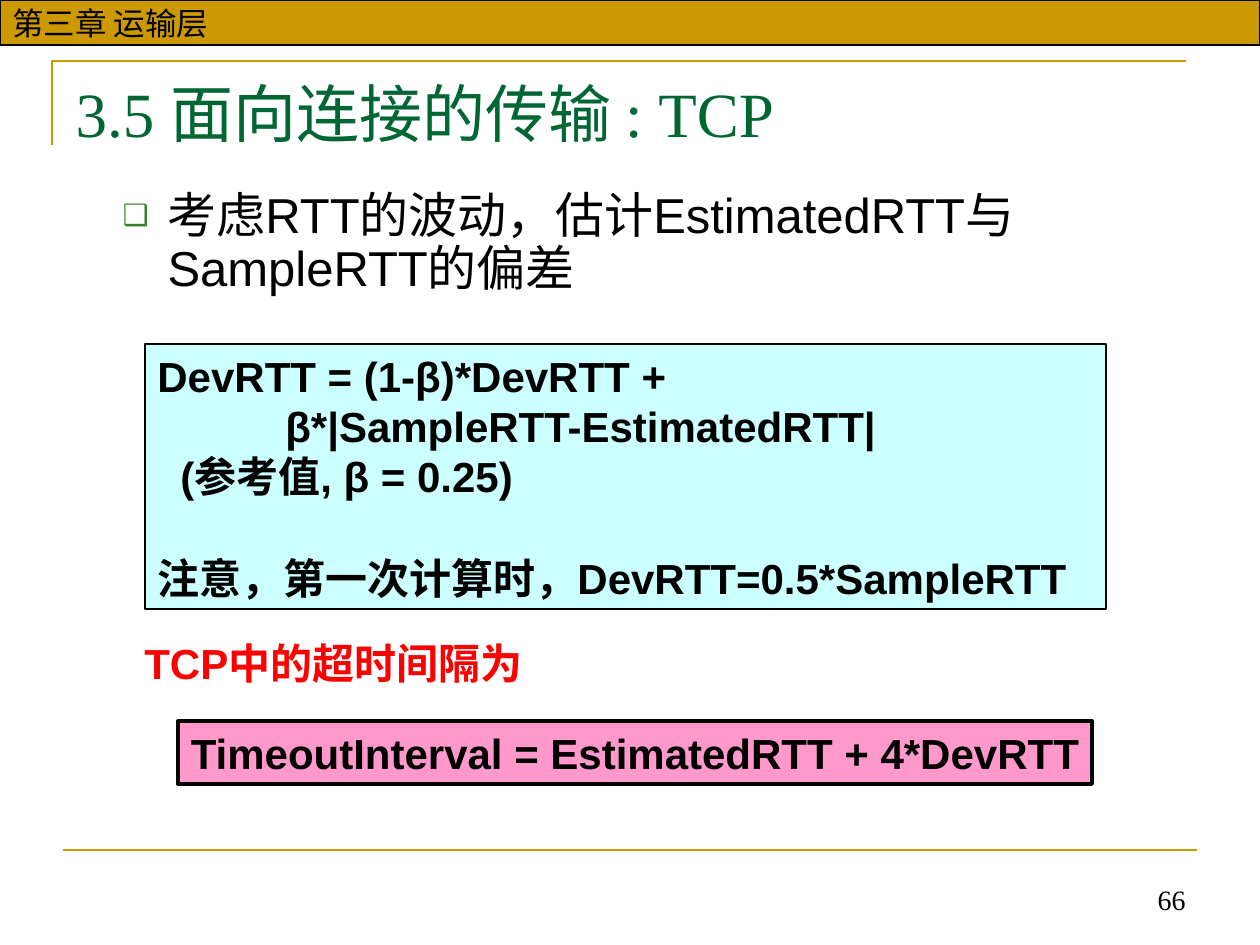
import pptx
import pptx.dml.color
import pptx.enum.shapes
import pptx.enum.text
import pptx.oxml
import pptx.oxml.ns
import pptx.util

PX = 914400 / 126
COLORS = {"gold": "CC9900", "black": "000000", "green": "006633", "bullet": "3B812F",
          "cyan": "CCFFFF", "pink": "FF99CC", "red": "FF0000"}
ALIGN = pptx.enum.text.PP_ALIGN
ANCHOR = pptx.enum.text.MSO_ANCHOR
SHAPE = pptx.enum.shapes.MSO_SHAPE


def rgb(name):
    return pptx.dml.color.RGBColor.from_string(COLORS[name])


def write(s, lines, box, size, color="black", font="Arial", bold=False,
          align=ALIGN.LEFT, anchor=ANCHOR.TOP, wrap=True):
    """Place a shape at box (px) and fill it with one paragraph per line."""
    s.left, s.top, s.width, s.height = [round(v * PX) for v in box]
    tf = s.text_frame
    tf.auto_size = pptx.enum.text.MSO_AUTO_SIZE.NONE
    tf.word_wrap = wrap
    tf.vertical_anchor = anchor
    for i, line in enumerate(lines):
        p = tf.paragraphs[0] if i == 0 else tf.add_paragraph()
        p.alignment = align
        r = p.add_run()
        r.text = line
        for name, value in {"size": pptx.util.Pt(size), "name": font, "bold": bold}.items():
            setattr(r.font, name, value)
        r.font.color.rgb = rgb(color)
    return tf


prs = pptx.Presentation()
prs.slide_width, prs.slide_height = round(1260 * PX), round(945 * PX)
slide = prs.slides.add_slide(prs.slide_layouts[1])
shapes = slide.shapes
title, body = slide.placeholders

# Corner rule above the title and line above the footer
builder = shapes.build_freeform(52, 145, scale=PX)
builder.add_line_segments([(52, 61), (1186, 61)], close=False)
corner = builder.convert_to_shape()
corner.fill.background()
corner.shadow.inherit = False
rule = shapes.add_connector(pptx.enum.shapes.MSO_CONNECTOR.STRAIGHT,
                            *[round(v * PX) for v in (63, 850, 1197, 850)])
rule._element.spPr.append(pptx.oxml.parse_xml(
    f'<a:effectLst {pptx.oxml.ns.nsdecls("a")}/>'))
for s in (corner, rule):
    s.line.color.rgb = rgb("gold")
    s.line.width = pptx.util.Pt(1.5)

# Title and list
write(title, ["3.5 面向连接的传输 : TCP"], (63, 68, 1134, 97), 36, "green", "Times New Roman")
tf = write(body, ["考虑RTT的波动，估计EstimatedRTT与SampleRTT的偏差"], (63, 185, 1134, 129), 28)
p = tf.paragraphs[0]
p.level = 1
p.line_spacing = 0.9
p.space_before = pptx.util.Pt(0)
pPr = p._p.get_or_add_pPr()
pPr.set("marL", str(round(92 * PX)))
pPr.set("indent", str(round(-45 * PX)))
for xml in (f'<a:buClr {{}}><a:srgbClr val="{COLORS["bullet"]}"/></a:buClr>',
            '<a:buSzPct {} val="60000"/>', '<a:buFont {} typeface="Arial"/>',
            '<a:buChar {} char="❑"/>'):
    pPr.append(pptx.oxml.parse_xml(xml.format(pptx.oxml.ns.nsdecls("a"))))

# Filled boxes: chapter bar, deviation formula, timeout formula
boxes = [
    (["第三章 运输层"], (0, 0, 1260, 45), "gold", 0.75,
     {"size": 18, "anchor": ANCHOR.MIDDLE, "wrap": False}),
    (["DevRTT = (1-β)*DevRTT +", "β*|SampleRTT-EstimatedRTT|", "(参考值, β = 0.25)",
      "注意，第一次计算时，DevRTT=0.5*SampleRTT"], (145, 344, 961, 265), "cyan", 0.75,
     {"size": 24, "bold": True}),
    (["TimeoutInterval = EstimatedRTT + 4*DevRTT"], (178, 721, 914, 63), "pink", 2.25,
     {"size": 24, "bold": True, "align": ALIGN.CENTER, "wrap": False}),
]
frames = []
for lines, box, fill, weight, style in boxes:
    s = shapes.add_shape(SHAPE.RECTANGLE, 0, 0, 0, 0)
    s.shadow.inherit = False
    s.fill.solid()
    s.fill.fore_color.rgb = rgb(fill)
    s.line.color.rgb = rgb("black")
    s.line.width = pptx.util.Pt(weight)
    frames.append(write(s, lines, box, **style))

formula = frames[1].paragraphs
for p, indent in zip(formula[1:3], (128, 23)):
    p._p.get_or_add_pPr().set("marL", str(round(indent * PX)))
formula[3].space_before = pptx.util.Pt(29)

# Plain text: timeout heading and page number
write(shapes.add_textbox(0, 0, 0, 0), ["TCP中的超时间隔为"], (132, 631, 413, 63), 24, "red",
      bold=True, wrap=False)
write(shapes.add_textbox(0, 0, 0, 0), ["66"], (799, 859, 399, 63), 16,
      font="Times New Roman", align=ALIGN.RIGHT, anchor=ANCHOR.BOTTOM)

prs.save("out.pptx")
